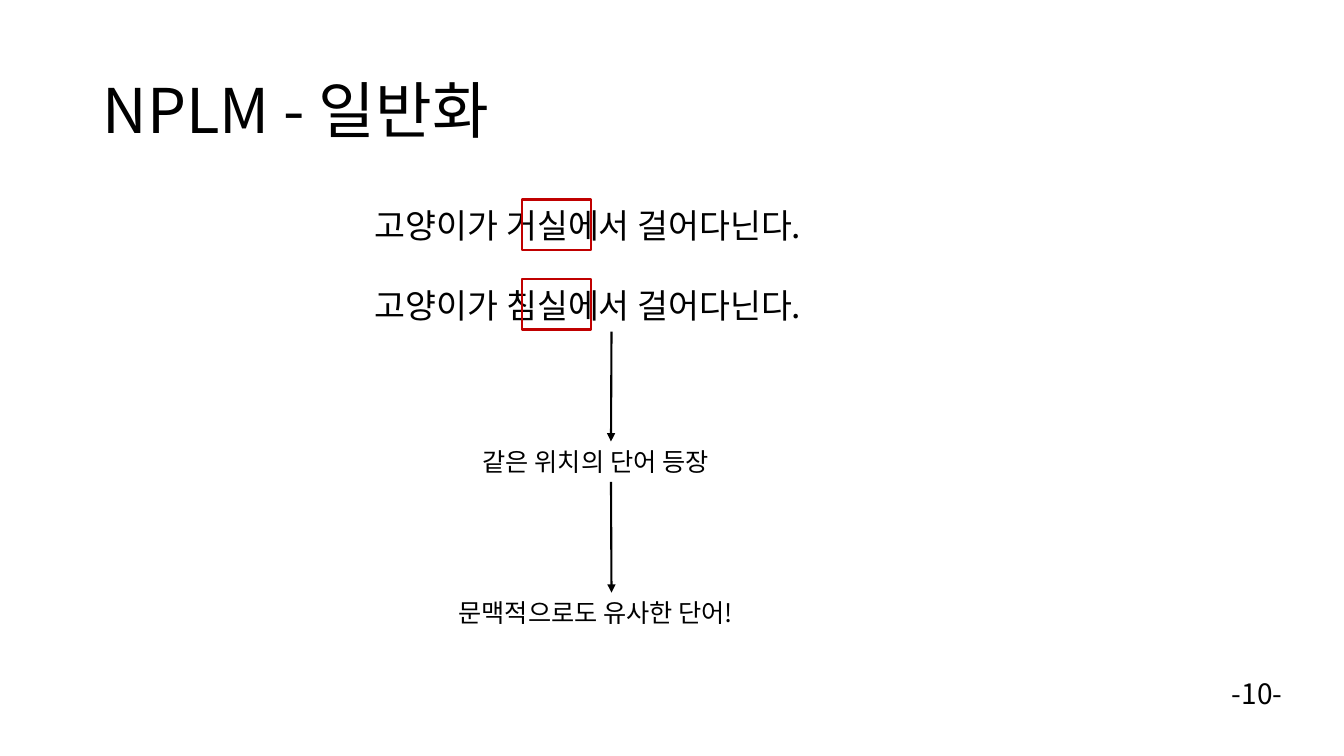
from dataclasses import dataclass

from lxml.etree import SubElement
from pptx import Presentation
from pptx.dml.color import RGBColor
from pptx.enum.shapes import MSO_CONNECTOR as Connector, MSO_SHAPE as Shape
from pptx.enum.text import MSO_ANCHOR as Anchor, MSO_AUTO_SIZE as AutoSize
from pptx.oxml.ns import qn
from pptx.shapes.autoshape import Shape as TextShape
from pptx.slide import Slide
from pptx.util import Inches, Pt

FONT = "Noto Sans CJK KR"
COLORS = {"text": "000000", "arrow": "000000", "highlight": "C00000"}
LINE_WIDTH = Pt(1.5)
BOTTOM, TOP = 2, 0

LABEL_FORMAT = {"word_wrap": False, "auto_size": AutoSize.SHAPE_TO_FIT_TEXT}
TITLE_FORMAT = {
    "word_wrap": True,
    "auto_size": AutoSize.NONE,
    "vertical_anchor": Anchor.MIDDLE,
}


@dataclass(frozen=True)
class Label:
    lines: tuple[str, ...]
    left: float
    top: float
    width: float
    height: float
    size: int
    gap: float = 0
    line_spacing: float = 1.0


TITLE = Label(("NPLM - 일반화",), 0.92, 0.4, 11.5, 1.45, 44, line_spacing=0.9)
PAGE_NUMBER = Label(("-10-",), 12.12, 6.66, 0.74, 0.44, 20)
REASONING = (
    Label(
        ("고양이가 거실에서 걸어다닌다.", "고양이가 침실에서 걸어다닌다."),
        3.62, 1.98, 4.89, 1.31, 24, gap=28.5,
    ),
    Label(("같은 위치의 단어 등장",), 4.69, 4.38, 2.74, 0.4, 18),
    Label(("문맥적으로도 유사한 단어!",), 4.45, 5.88, 3.23, 0.4, 18),
)
HIGHLIGHT_TOPS = (1.98, 2.77)


def color(name: str) -> RGBColor:
    return RGBColor.from_string(COLORS[name])


def add_label(slide: Slide, label: Label, frame_format: dict) -> TextShape:
    box = slide.shapes.add_textbox(
        *map(Inches, (label.left, label.top, label.width, label.height))
    )
    frame = box.text_frame
    for attribute, value in frame_format.items():
        setattr(frame, attribute, value)
    for index, line in enumerate(label.lines):
        paragraph = frame.add_paragraph() if index else frame.paragraphs[0]
        paragraph.line_spacing = label.line_spacing
        paragraph.space_before = Pt(label.gap if index else 0)
        run = paragraph.add_run()
        run.text = line
        font_format = {"name": FONT, "size": Pt(label.size)}
        for attribute, value in font_format.items():
            setattr(run.font, attribute, value)
        run.font.color.rgb = color("text")
        SubElement(run.font._element, qn("a:ea"), typeface=FONT)
    return box


def add_highlight(slide: Slide, top: float) -> None:
    """Frame the word that differs between the two sentences."""
    frame = slide.shapes.add_shape(
        Shape.RECTANGLE, *map(Inches, (5.18, top, 0.68, 0.5))
    )
    frame.shadow.inherit = False
    frame.fill.background()
    frame.line.color.rgb = color("highlight")
    frame.line.width = LINE_WIDTH


def add_arrow(slide: Slide, premise: TextShape, conclusion: TextShape) -> None:
    arrow = slide.shapes.add_connector(Connector.STRAIGHT, 0, 0, 0, 0)
    arrow.begin_connect(premise, BOTTOM)
    arrow.end_connect(conclusion, TOP)
    arrow.line.color.rgb = color("arrow")
    arrow.line.width = LINE_WIDTH
    SubElement(arrow.line._get_or_add_ln(), qn("a:tailEnd"), type="triangle")
    SubElement(arrow._element.spPr, qn("a:effectLst"))


def main() -> None:
    presentation = Presentation()
    presentation.slide_width = Inches(13.33)
    presentation.slide_height = Inches(7.5)
    slide = presentation.slides.add_slide(presentation.slide_layouts[6])

    add_label(slide, TITLE, TITLE_FORMAT)
    add_label(slide, PAGE_NUMBER, LABEL_FORMAT)
    steps = [add_label(slide, label, LABEL_FORMAT) for label in REASONING]
    for top in HIGHLIGHT_TOPS:
        add_highlight(slide, top)
    for premise, conclusion in zip(steps, steps[1:]):
        add_arrow(slide, premise, conclusion)

    presentation.save("out.pptx")


if __name__ == "__main__":
    main()
